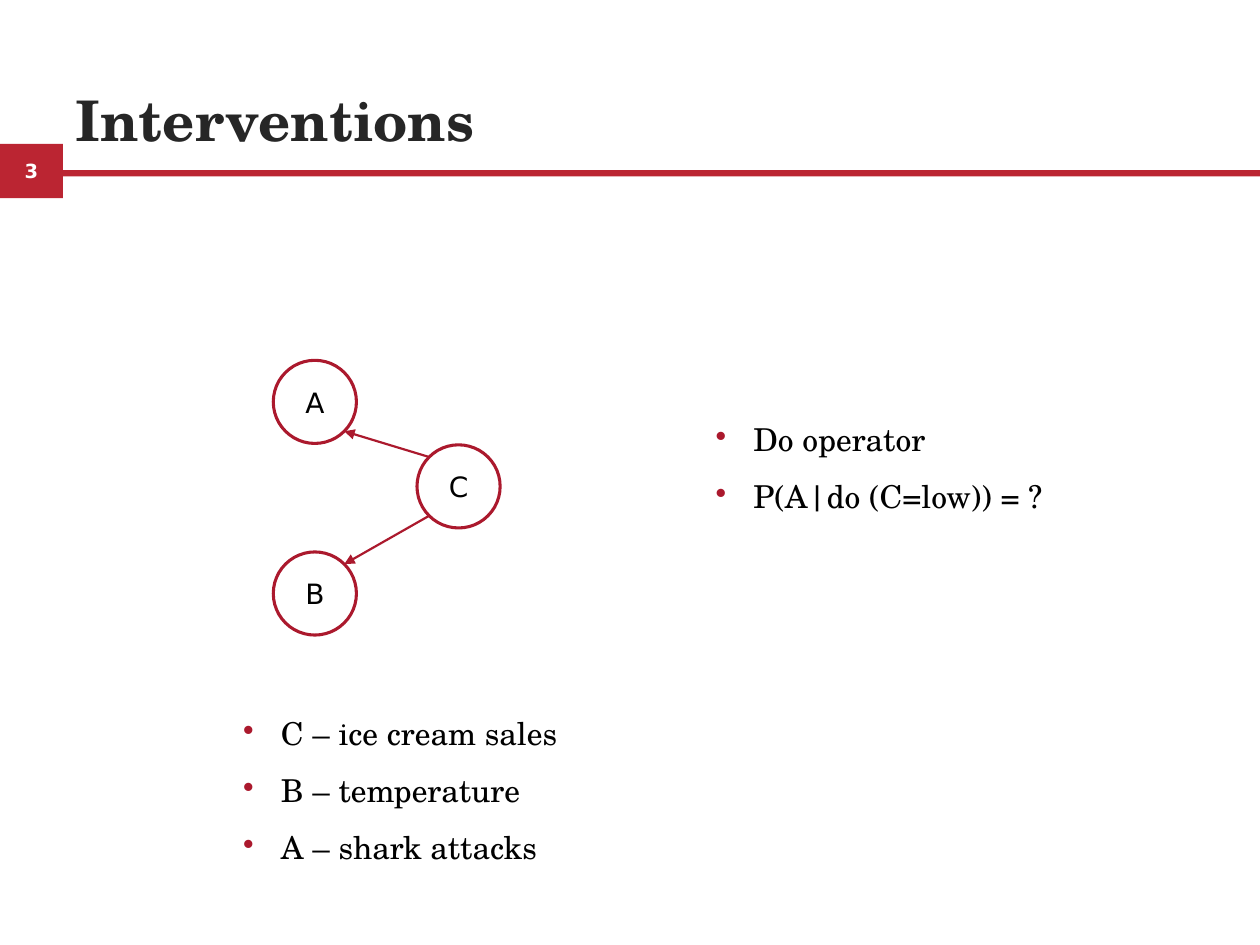
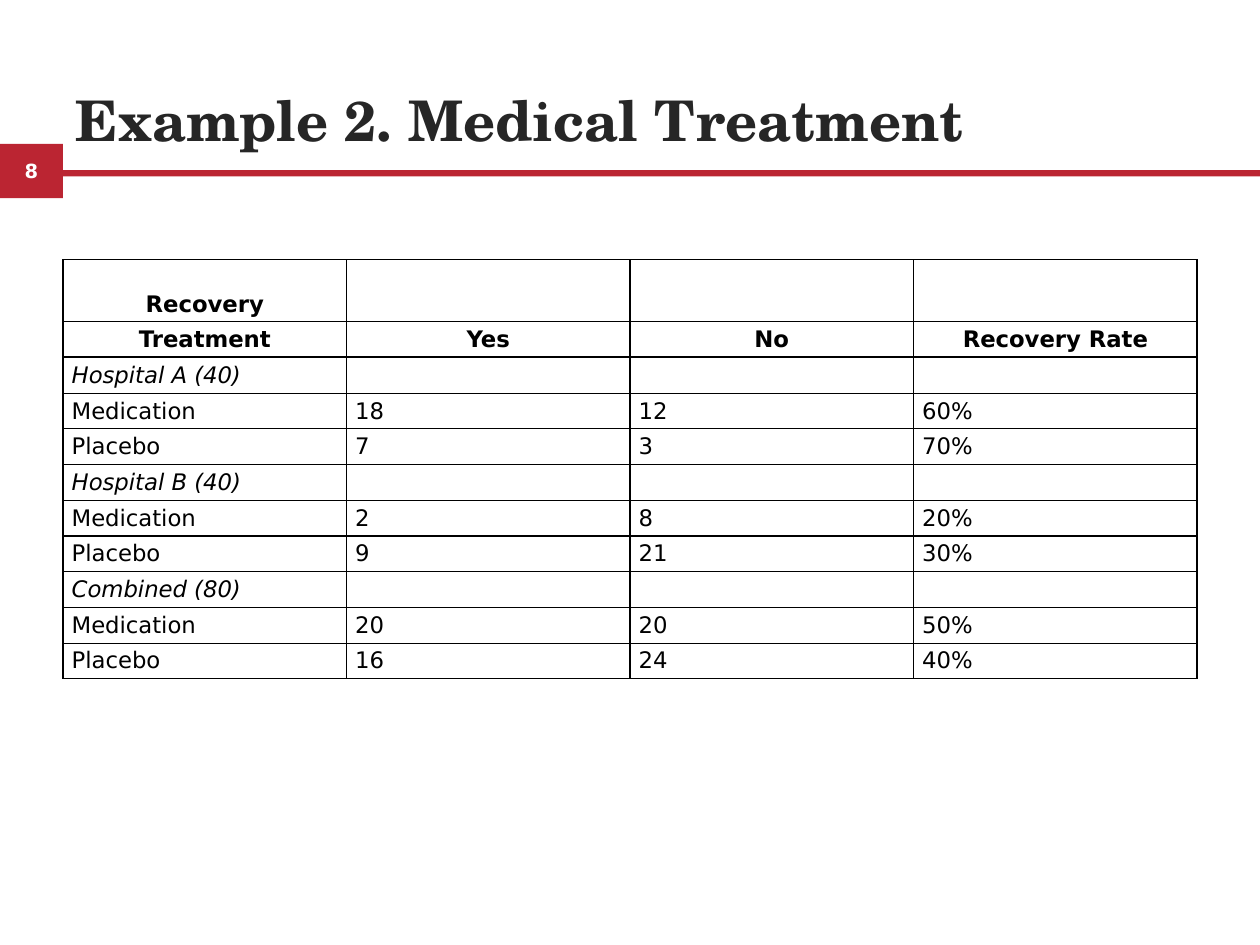
from dataclasses import dataclass
from math import sqrt

from lxml import etree
from pptx import Presentation
from pptx.dml.color import RGBColor
from pptx.enum.shapes import MSO_CONNECTOR, MSO_SHAPE
from pptx.enum.text import MSO_ANCHOR, MSO_AUTO_SIZE, PP_ALIGN
from pptx.oxml.ns import qn
from pptx.util import Pt

RECT, OVAL, STRAIGHT = MSO_SHAPE.RECTANGLE, MSO_SHAPE.OVAL, MSO_CONNECTOR.STRAIGHT
LEFT, CENTER = PP_ALIGN.LEFT, PP_ALIGN.CENTER
MIDDLE, BOTTOM = MSO_ANCHOR.MIDDLE, MSO_ANCHOR.BOTTOM
TITLE_ONLY = 5


@dataclass(frozen=True)
class Theme:
    serif: str = "TeX Gyre Schola"
    sans: str = "DejaVu Sans"
    band: str = "BB2532"
    accent: str = "AB192D"
    title: str = "262626"
    ink: str = "000000"
    paper: str = "FFFFFF"
    title_size: float = 32
    body_size: float = 18
    node_size: float = 16
    table_size: float = 13
    number_size: float = 11.1


T = Theme()


def rgb(value):
    return RGBColor.from_string(value)


def points(*values):
    return [Pt(v) for v in values]


def write(p, text, size=T.body_size, font=T.serif, color=T.ink,
          bold=False, italic=False, align=LEFT):
    p.alignment = align
    r = p.add_run()
    r.text = text
    f = r.font
    f.size, f.name, f.bold, f.italic = Pt(size), font, bold, italic
    f.color.rgb = rgb(color)


def add_filled(s, kind, box, fill, line=None, width=1.75):
    sp = s.shapes.add_shape(kind, *points(*box))
    sp.shadow.inherit = False
    sp.fill.solid()
    sp.fill.fore_color.rgb = rgb(fill)
    if line:
        sp.line.color.rgb = rgb(line)
        sp.line.width = Pt(width)
    else:
        sp.line.fill.background()
    return sp


def label(sp, text, **style):
    """Centre one unwrapped line of text in a shape."""
    tf = sp.text_frame
    tf.word_wrap = False
    tf.vertical_anchor = MIDDLE
    write(tf.paragraphs[0], text, font=T.sans, align=CENTER, **style)


def add_titled_slide(prs, title, number):
    s = prs.slides.add_slide(prs.slide_layouts[TITLE_ONLY])
    badge = add_filled(s, RECT, (0, 82.2, 36, 31), T.band)
    label(badge, str(number), size=T.number_size, color=T.paper, bold=True)
    add_filled(s, RECT, (36, 97.2, 684, 3.6), T.band)

    sp = s.shapes.title
    sp.left, sp.top, sp.width, sp.height = points(36, 27.4, 660, 63.4)
    tf = sp.text_frame
    tf.auto_size = MSO_AUTO_SIZE.NONE
    tf.vertical_anchor = BOTTOM
    write(tf.paragraphs[0], title, size=T.title_size, color=T.title, bold=True)
    return s


def add_bullets(s, box, items):
    tf = s.shapes.add_textbox(*points(*box)).text_frame
    tf.word_wrap = True
    for i, item in enumerate(items):
        p = tf.add_paragraph() if i else tf.paragraphs[0]
        p.line_spacing = 0.95
        p.space_before = Pt(12 if i else 0)
        pPr = p._p.get_or_add_pPr()
        pPr.set("marL", str(Pt(21.6)))
        pPr.set("indent", str(-Pt(21.6)))
        color = etree.SubElement(pPr, qn("a:buClr"))
        etree.SubElement(color, qn("a:srgbClr"), val=T.accent)
        etree.SubElement(pPr, qn("a:buChar"), char="•")
        write(p, item)


def add_arrow(s, start, end):
    cx = s.shapes.add_connector(STRAIGHT, *points(*start, *end))
    cx.line.color.rgb = rgb(T.accent)
    cx.line.width = Pt(1.25)
    etree.SubElement(cx.line._get_or_add_ln(), qn("a:tailEnd"), type="triangle")
    etree.SubElement(cx._element.spPr, qn("a:effectLst"))


def add_causal_graph(s, left, top):
    """Common cause C on the right, with an arrow to each of A and B."""
    diameter = 47.5
    nodes = {"A": (0, 0), "B": (0, 109.5), "C": (82.1, 48.3)}
    centres = {}
    for name, (dx, dy) in nodes.items():
        x, y = left + dx, top + dy
        sp = add_filled(s, OVAL, (x, y, diameter, diameter), T.paper, T.accent)
        label(sp, name, size=T.node_size)
        centres[name] = x + diameter / 2, y + diameter / 2

    reach = diameter / 2 / sqrt(2)
    cx, cy = centres["C"]
    for effect, side in (("A", -1), ("B", 1)):
        ex, ey = centres[effect]
        add_arrow(s, (cx - reach, cy + side * reach),
                  (ex + reach, ey - side * reach))


def set_borders(cell):
    tcPr = cell._tc.get_or_add_tcPr()
    for i, edge in enumerate(("lnL", "lnR", "lnT", "lnB")):
        ln = etree.Element(qn(f"a:{edge}"), w=str(Pt(0.75)))
        fill = etree.SubElement(ln, qn("a:solidFill"))
        etree.SubElement(fill, qn("a:srgbClr"), val=T.ink)
        tcPr.insert(i, ln)


def add_recovery_table(s, left, top, width, rows):
    first_height, row_height = 35.3, 20.2
    columns = max(len(row) for row in rows)
    height = first_height + row_height * (len(rows) - 1)
    table = s.shapes.add_table(len(rows), columns,
                               *points(left, top, width, height)).table
    for column in table.columns:
        column.width = Pt(width / columns)
    for i, row in enumerate(rows):
        table.rows[i].height = Pt(row_height if i else first_height)
        header = i < 2
        group = not header and len(row) == 1
        for j in range(columns):
            cell = table.cell(i, j)
            cell.fill.solid()
            cell.fill.fore_color.rgb = rgb(T.paper)
            cell.margin_left = cell.margin_right = Pt(5)
            cell.margin_top = cell.margin_bottom = Pt(2.5)
            cell.vertical_anchor = MIDDLE if i else BOTTOM
            set_borders(cell)
            p = cell.text_frame.paragraphs[0]
            if j < len(row):
                write(p, row[j], size=T.table_size, font=T.sans, bold=header,
                      italic=group, align=CENTER if header else LEFT)
            else:
                etree.SubElement(p._p, qn("a:endParaRPr"),
                                 sz=str(T.table_size * 100))


def build_interventions(prs):
    s = add_titled_slide(prs, "Interventions", 3)
    add_bullets(s, (401.8, 238.3, 247.7, 81),
                ["Do operator", "P(A|do (C=low)) = ?"])
    add_causal_graph(s, 156.2, 205.9)
    add_bullets(s, (131.8, 406.1, 247.7, 116),
                ["C – ice cream sales", "B – temperature", "A – shark attacks"])


def build_medical_treatment(prs):
    s = add_titled_slide(prs, "Example 2. Medical Treatment", 8)
    add_recovery_table(s, 36, 148.5, 648, [
        ["Recovery"],
        ["Treatment", "Yes", "No", "Recovery Rate"],
        ["Hospital A (40)"],
        ["Medication", "18", "12", "60%"],
        ["Placebo", "7", "3", "70%"],
        ["Hospital B (40)"],
        ["Medication", "2", "8", "20%"],
        ["Placebo", "9", "21", "30%"],
        ["Combined (80)"],
        ["Medication", "20", "20", "50%"],
        ["Placebo", "16", "24", "40%"],
    ])


def main():
    prs = Presentation()
    prs.slide_width, prs.slide_height = points(720, 540)
    build_interventions(prs)
    build_medical_treatment(prs)
    prs.save("out.pptx")


if __name__ == "__main__":
    main()
